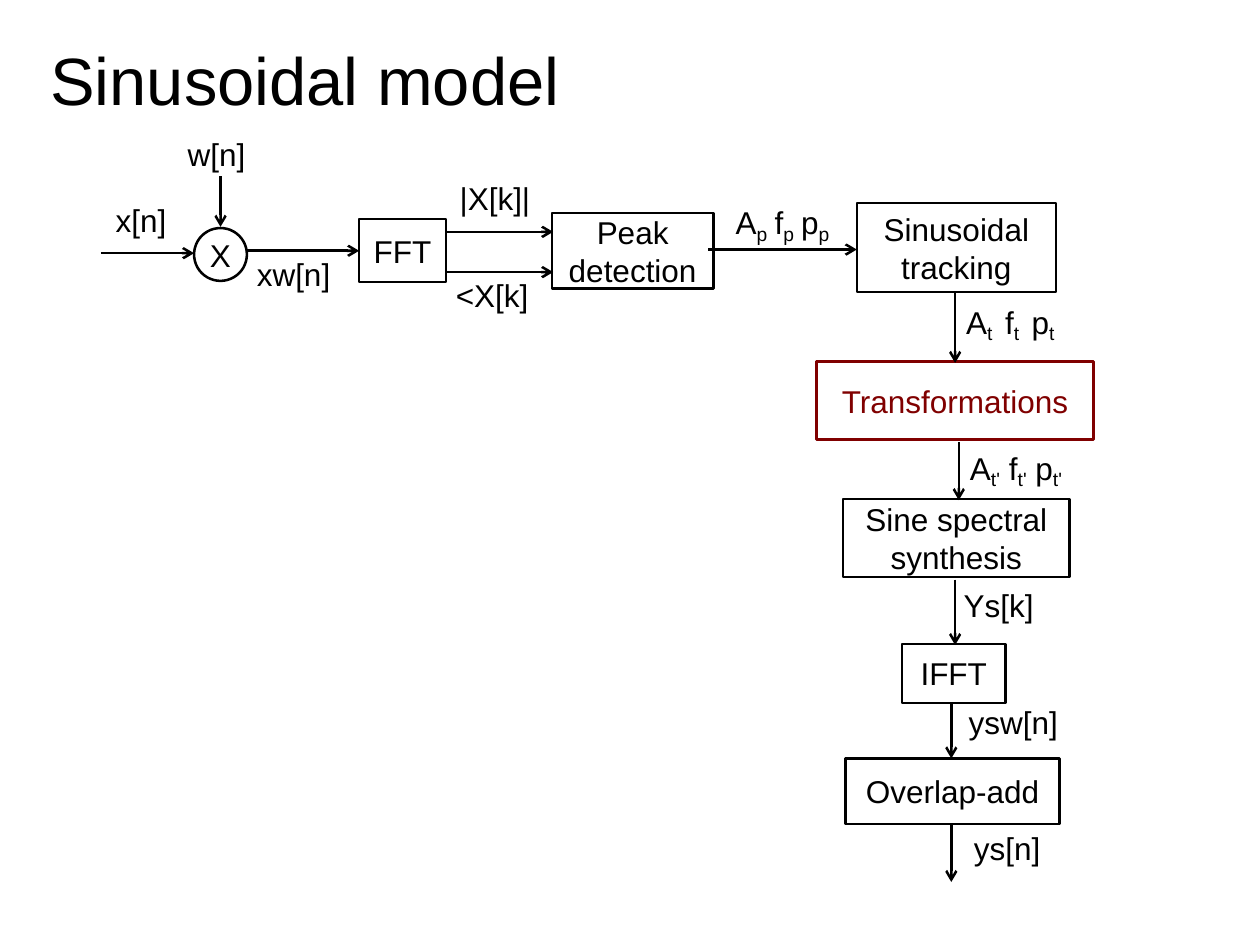
"""Build the sinusoidal model block diagram slide."""
from dataclasses import dataclass

from lxml import etree
from pptx import Presentation
from pptx.dml.color import RGBColor
from pptx.enum import shapes, text
from pptx.oxml import ns
from pptx.util import Pt


@dataclass(frozen=True)
class Theme:
    font: str = "Arial"
    ink: str = "000000"
    accent: str = "800000"
    title_size: float = 38.2
    body_size: float = 18
    subscript_size: float = 18.9
    line_width: float = 1.45


@dataclass(frozen=True)
class Block:
    caption: str
    left: float
    top: float
    width: float
    height: float
    color: str = Theme.ink
    shape: shapes.MSO_SHAPE = shapes.MSO_SHAPE.RECTANGLE


@dataclass(frozen=True)
class Arrow:
    start_x: float
    start_y: float
    end_x: float
    end_y: float


@dataclass(frozen=True)
class Label:
    caption: str
    left: float
    top: float
    width: float
    subscript: str = ""


@dataclass(frozen=True)
class Triple:
    subscript: str
    left: float
    top: float
    widths: tuple[float, float, float]


THEME = Theme()

BLOCKS = [
    Block("X", 110.9, 130.3, 30.2, 30.2, shape=shapes.MSO_SHAPE.OVAL),
    Block("FFT", 205.2, 125.3, 49.7, 36),
    Block("Peak detection", 315.4, 121.7, 92.2, 43.2),
    Block("Sinusoidal\ntracking", 489.6, 115.9, 113.8, 51.1),
    Block("Transformations", 466.6, 206.6, 158.4, 44.6, THEME.accent),
    Block("Sine spectral\nsynthesis", 481.7, 285.1, 129.6, 44.6),
    Block("IFFT", 515.5, 367.9, 59, 33.8),
    Block("Overlap-add", 483.1, 433.4, 122.4, 37.4),
]

ARROWS = [
    Arrow(57.6, 144.7, 110.9, 144.7),
    Arrow(126, 100.8, 126, 129.6),
    Arrow(141.1, 143.3, 205.2, 143.3),
    Arrow(254.9, 132.5, 316.1, 132.5),
    Arrow(254.9, 155.5, 316.1, 155.5),
    Arrow(404.6, 142.6, 489.6, 142.6),
    Arrow(545.8, 167, 545.8, 207.4),
    Arrow(547.9, 252.7, 547.9, 285.8),
    Arrow(545.8, 331.2, 545.8, 368.6),
    Arrow(543.6, 402.5, 543.6, 433.4),
    Arrow(543.6, 470.9, 543.6, 504),
]

LABELS = [
    Label("x[n]", 59, 113, 46.1),
    Label("w[n]", 100.1, 75.6, 49.7),
    Label("xw[n]", 139.7, 144, 59.8),
    Label("|X[k]|", 255.6, 100.8, 57.6),
    Label("<X[k]", 253.4, 156.2, 59),
    Label("Ys[k]", 543.6, 333.4, 57.6),
    Label("ysw[n]", 546.5, 400.3, 69.1),
    Label("ys[n]", 549.4, 472.3, 55.4),
]

TRIPLES = [
    Triple("p", 413.3, 112, (33.8, 26.6, 31.7)),
    Triple("t", 545, 169, (31, 23.8, 28.8)),
    Triple("t'", 547.2, 252.3, (31.7, 24.5, 29.5)),
]
TRIPLE_OFFSETS = (0, 22.3, 37.4)


def add_span(para, caption: str, size: float, color: str = THEME.ink):
    """Append one formatted run to a paragraph."""
    span = para.add_run()
    span.text = caption
    span.font.name = THEME.font
    span.font.size = Pt(size)
    span.font.color.rgb = RGBColor.from_string(color)
    return span


def add_title(page, caption: str) -> None:
    """Place and fill the title placeholder."""
    box = page.shapes.title
    box.left, box.top, box.width, box.height = Pt(28.8), Pt(0), Pt(648), Pt(90)
    frame = box.text_frame
    frame.margin_left = frame.margin_right = frame.margin_top = frame.margin_bottom = 0
    frame.vertical_anchor = text.MSO_ANCHOR.MIDDLE
    frame.auto_size = text.MSO_AUTO_SIZE.NONE
    frame.word_wrap = True
    para = frame.paragraphs[0]
    para.alignment = text.PP_ALIGN.LEFT
    add_span(para, caption, THEME.title_size)


def add_block(page, block: Block) -> None:
    """Draw an outlined block with centred text."""
    box = page.shapes.add_shape(block.shape, Pt(block.left), Pt(block.top),
                                Pt(block.width), Pt(block.height))
    box.shadow.inherit = False
    box.fill.background()
    box.line.color.rgb = RGBColor.from_string(block.color)
    box.line.width = Pt(THEME.line_width)
    frame = box.text_frame
    frame.vertical_anchor = text.MSO_ANCHOR.MIDDLE
    frame.word_wrap = block.shape == shapes.MSO_SHAPE.RECTANGLE
    if not frame.word_wrap:
        frame.margin_left = frame.margin_right = frame.margin_top = frame.margin_bottom = 0
    for index, caption in enumerate(block.caption.split("\n")):
        para = frame.add_paragraph() if index else frame.paragraphs[0]
        para.alignment = text.PP_ALIGN.CENTER
        add_span(para, caption, THEME.body_size, block.color)


def add_arrow(page, arrow: Arrow) -> None:
    """Draw a straight line with an open arrowhead at its end."""
    line = page.shapes.add_connector(shapes.MSO_CONNECTOR.STRAIGHT,
                                     Pt(arrow.start_x), Pt(arrow.start_y),
                                     Pt(arrow.end_x), Pt(arrow.end_y))
    line.line.color.rgb = RGBColor.from_string(THEME.ink)
    line.line.width = Pt(THEME.line_width)
    etree.SubElement(line.line._get_or_add_ln(), ns.qn("a:tailEnd"), type="arrow")
    etree.SubElement(line._element.spPr, ns.qn("a:effectLst"))


def add_label(page, label: Label) -> None:
    """Write a signal name with an optional subscript."""
    height = 31 if label.subscript else 28.8
    box = page.shapes.add_textbox(Pt(label.left), Pt(label.top), Pt(label.width), Pt(height))
    frame = box.text_frame
    frame.word_wrap = False
    frame.auto_size = text.MSO_AUTO_SIZE.SHAPE_TO_FIT_TEXT
    para = frame.paragraphs[0]
    para.line_spacing = 0.93
    add_span(para, label.caption, THEME.body_size)
    if label.subscript:
        span = add_span(para, label.subscript, THEME.subscript_size)
        span._r.get_or_add_rPr().set("baseline", "-20000")


def add_triple(page, triple: Triple) -> None:
    """Write amplitude, frequency and phase side by side."""
    for caption, offset, width in zip("Afp", TRIPLE_OFFSETS, triple.widths):
        add_label(page, Label(caption, triple.left + offset, triple.top, width, triple.subscript))


def main() -> None:
    """Assemble and save the deck."""
    deck = Presentation()
    deck.slide_width, deck.slide_height = Pt(720), Pt(540)
    page = deck.slides.add_slide(deck.slide_layouts[5])
    add_title(page, "Sinusoidal model")
    for draw, items in ((add_block, BLOCKS), (add_arrow, ARROWS),
                        (add_label, LABELS), (add_triple, TRIPLES)):
        for item in items:
            draw(page, item)
    deck.save("out.pptx")


if __name__ == "__main__":
    main()
